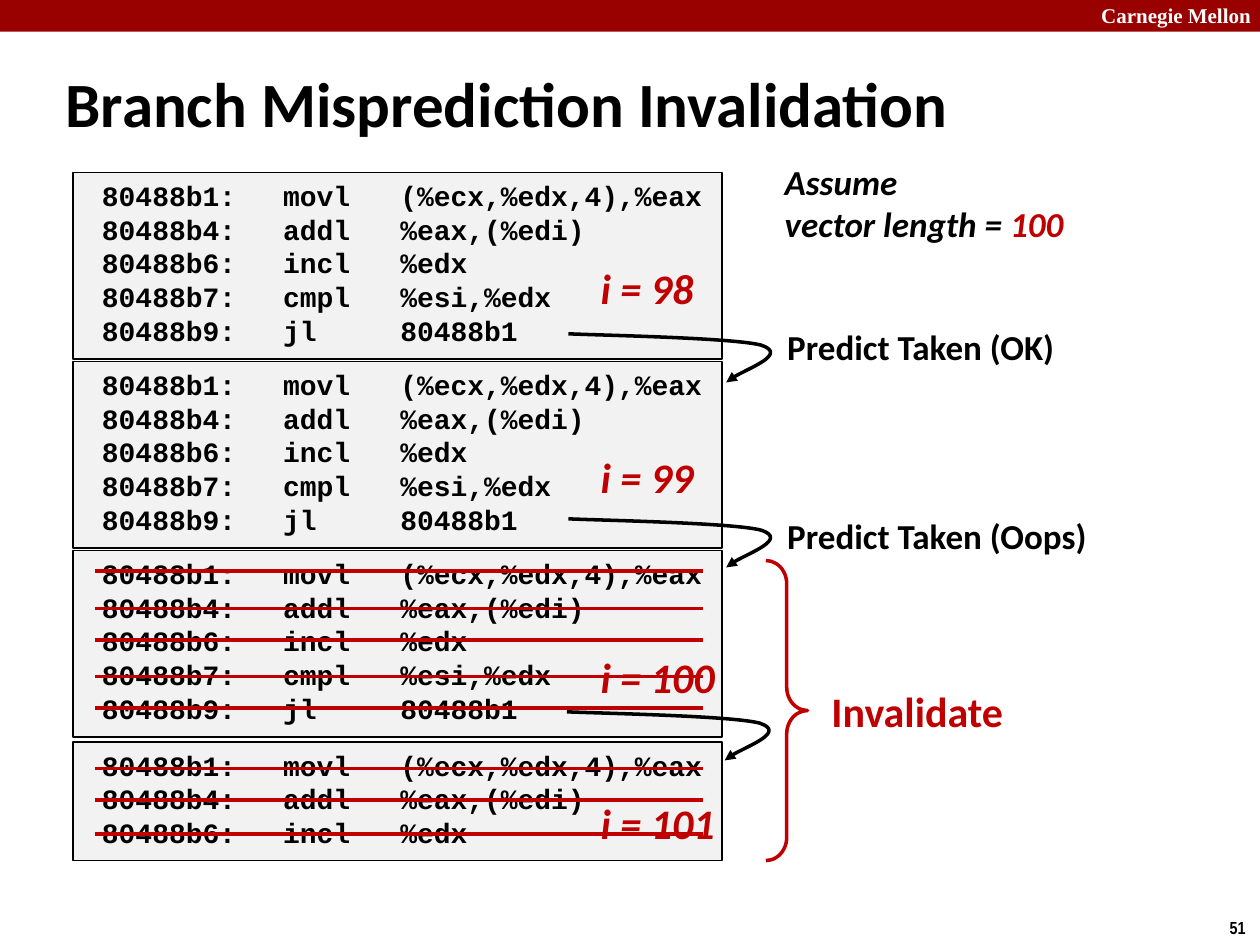
from dataclasses import dataclass

from lxml import etree
from pptx import Presentation
from pptx.dml.color import RGBColor
from pptx.enum.shapes import MSO_CONNECTOR, MSO_SHAPE
from pptx.enum.text import MSO_ANCHOR, MSO_AUTO_SIZE, PP_ALIGN
from pptx.oxml.ns import qn
from pptx.util import Cm, Pt

RECT, BRACE = MSO_SHAPE.RECTANGLE, MSO_SHAPE.RIGHT_BRACE
STRAIGHT = MSO_CONNECTOR.STRAIGHT
LEFT = PP_ALIGN.LEFT
TOP, MIDDLE = MSO_ANCHOR.TOP, MSO_ANCHOR.MIDDLE
FIT, FIXED = MSO_AUTO_SIZE.SHAPE_TO_FIT_TEXT, MSO_AUTO_SIZE.NONE

COLORS = {
    "bar": "990000",
    "red": "C00000",
    "black": "000000",
    "white": "FFFFFF",
    "panel": "F2F2F2",
}

CODE = [
    " 80488b1:\tmovl   (%ecx,%edx,4),%eax",
    " 80488b4:\taddl   %eax,(%edi)",
    " 80488b6:\tincl   %edx",
    " 80488b7:\tcmpl   %esi,%edx",
    " 80488b9:\tjl     80488b1",
]
CODE_TAB = 3.99


@dataclass
class Box:
    left: float
    top: float
    width: float
    height: float

    def place(self) -> tuple:
        return Cm(self.left), Cm(self.top), Cm(self.width), Cm(self.height)


@dataclass
class Pass:
    """One trip through the loop: its code panel and its counter label."""
    count: int
    top: float
    height: float
    lines: int
    label: float
    width: float


@dataclass
class Label:
    text: str
    box: Box
    style: dict


PASSES = [
    Pass(98, 3.48, 3.76, 5, 5.16, 2.39),
    Pass(99, 7.29, 3.76, 5, 8.97, 2.39),
    Pass(100, 11.1, 3.76, 5, 13.0, 2.82),
    Pass(101, 14.96, 2.39, 3, 15.95, 2.82),
]
LABELS = [
    Label("Carnegie Mellon", Box(21.95, -0.08, 3.63, 0.76),
          dict(size=12, font="Times New Roman", color="white")),
    Label("51", Box(24.54, 18.36, 0.86, 0.69),
          dict(size=10, font="Arial Narrow")),
    Label("Predict Taken (OK)", Box(15.62, 6.43, 5.94, 1.12), dict(size=20)),
    Label("Predict Taken (Oops)", Box(15.62, 10.24, 6.6, 1.12), dict(size=20)),
    Label("Invalidate", Box(16.51, 13.69, 4.01, 1.27),
          dict(size=24, color="red")),
    Label("Assume\nvector length = 100", Box(15.57, 3.12, 6.17, 1.96),
          dict(size=20, italic=True, accent="100")),
]
JUMPS = [(11.46, 6.73), (11.46, 10.46), (11.43, 14.35)]
# Offsets from the start of a jump: two cubic curves of three points each
BEND = [(0.66, 0.03), (3.35, 0.08), (3.89, 0.23),
        (4.42, 0.41), (3.33, 0.81), (3.18, 0.98)]
STRIKES = [11.51, 12.27, 12.9, 13.64, 14.27, 15.49, 16.13, 16.81]


def rgb(name: str) -> RGBColor:
    return RGBColor.from_string(COLORS[name])


def write(frame, text: str, *, size: float, font: str = "Calibri",
          color: str = "black", italic: bool = False, accent: str = "",
          tab: float = 0, wrap: bool = False, anchor=TOP, fit=FIT) -> None:
    """Fill a frame, one paragraph a line; a line's closing accent is red."""
    frame.word_wrap, frame.auto_size = wrap, fit
    frame.vertical_anchor = anchor
    for i, line in enumerate(text.split("\n")):
        para = frame.add_paragraph() if i else frame.paragraphs[0]
        para.alignment = LEFT
        if tab:
            stops = etree.SubElement(para._p.get_or_add_pPr(), qn("a:tabLst"))
            etree.SubElement(stops, qn("a:tab"), pos=str(Cm(tab)), algn="l")
        head, mark, _ = line.partition(accent) if accent else (line, "", "")
        for part, tint in ((head, color), (mark, "red")):
            if part:
                run = para.add_run()
                run.text = part
                run.font.name, run.font.size = font, Pt(size)
                run.font.bold, run.font.italic = True, italic
                run.font.color.rgb = rgb(tint)


def paint(shape, fill: str = "", line: str = "", width: float = 1) -> None:
    shape.shadow.inherit = False
    if fill:
        shape.fill.solid()
        shape.fill.fore_color.rgb = rgb(fill)
    else:
        shape.fill.background()
    if line:
        shape.line.color.rgb = rgb(line)
        shape.line.width = Pt(width)
    else:
        shape.line.fill.background()


def add_label(shapes, label: Label) -> None:
    frame = shapes.add_textbox(*label.box.place()).text_frame
    write(frame, label.text, **label.style)


def add_panel(shapes, turn: Pass) -> None:
    box = Box(1.47, turn.top, 13.08, turn.height)
    panel = shapes.add_shape(RECT, *box.place())
    paint(panel, "panel", "black")
    write(panel.text_frame, "\n".join(CODE[:turn.lines]), size=16,
          font="Courier New", tab=CODE_TAB)


def add_jump(shapes, left: float, top: float) -> None:
    """Draw a curved arrow from a jump to the next panel."""
    pen = shapes.build_freeform(Cm(left), Cm(top))
    pen.add_line_segments([(Cm(left + x), Cm(top + y)) for x, y in BEND],
                          close=False)
    curve = pen.convert_to_shape()
    paint(curve, line="black", width=2)
    props = curve.element.spPr
    etree.SubElement(props.find(qn("a:ln")), qn("a:tailEnd"), type="triangle")
    path = next(props.iter(qn("a:path")))
    steps = path.findall(qn("a:lnTo"))
    for i in range(0, len(steps), 3):
        cubic = etree.SubElement(path, qn("a:cubicBezTo"))
        for step in steps[i:i + 3]:
            cubic.append(step[0])
            path.remove(step)


def add_strike(shapes, top: float) -> None:
    line = shapes.add_connector(STRAIGHT, Cm(1.91), Cm(top), Cm(14.17), Cm(top))
    line.line.color.rgb = rgb("red")
    line.line.width = Pt(2)
    etree.SubElement(line.element.spPr, qn("a:effectLst"))


def main() -> None:
    deck = Presentation()
    deck.slide_width, deck.slide_height = Cm(25.4), Cm(19.05)
    slide = deck.slides.add_slide(deck.slide_layouts[5])
    shapes = slide.shapes

    title = shapes.title
    title.left, title.top, title.width, title.height = Box(
        1.07, 1.27, 22.07, 1.6).place()
    write(title.text_frame, "Branch Misprediction Invalidation", size=36,
          wrap=True, anchor=MIDDLE, fit=FIXED)

    paint(shapes.add_shape(RECT, *Box(0, 0, 25.4, 0.64).place()), "bar")
    for turn in PASSES:
        add_panel(shapes, turn)
    for left, top in JUMPS:
        add_jump(shapes, left, top)
    for turn in PASSES:
        box = Box(11.86, turn.label, turn.width, 1.27)
        add_label(shapes, Label(f"i = {turn.count}", box,
                                dict(size=24, color="red", italic=True)))
    for label in LABELS:
        add_label(shapes, label)
    for top in STRIKES:
        add_strike(shapes, top)

    brace = shapes.add_shape(BRACE, *Box(15.44, 11.3, 0.84, 6.05).place())
    brace.adjustments[0] = 0.56
    paint(brace, line="red", width=2)

    deck.save("out.pptx")


if __name__ == "__main__":
    main()
